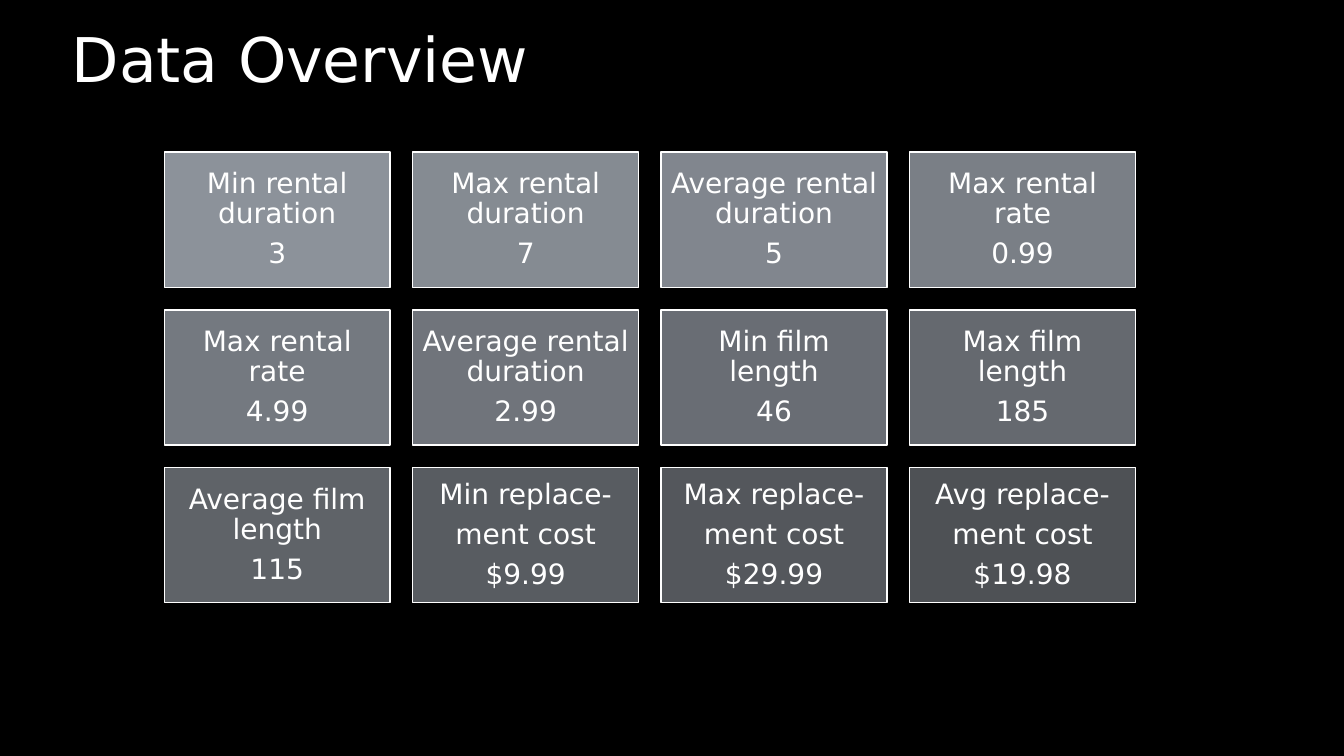
from lxml.etree import SubElement as Sub
from pptx import Presentation
from pptx.dml.color import RGBColor as Rgb
from pptx.enum.shapes import MSO_SHAPE as Kind
from pptx.enum.text import MSO_ANCHOR as Anchor, PP_ALIGN as Align
from pptx.oxml.ns import qn
from pptx.util import Inches, Pt

COLS = 4
STATS = [
    "Min rental duration\n3",
    "Max rental duration\n7",
    "Average rental duration\n5",
    "Max rental rate\n0.99",
    "Max rental rate\n4.99",
    "Average rental duration\n2.99",
    "Min film length\n46",
    "Max film length\n185",
    "Average film length\n115",
    "Min replace-\nment cost\n$9.99",
    "Max replace-\nment cost\n$29.99",
    "Avg replace-\nment cost\n$19.98",
]


def tint(code):
    return Rgb.from_string(code)


class Deck:
    font = "DejaVu Sans"
    ink = "FFFFFF"
    tile = "9CA2AB"
    left, top = 1.63, 1.51
    wide, high = 2.24, 1.34
    gap = 0.1

    def __init__(self):
        self.show = Presentation()
        self.show.slide_width = Inches(13.33)
        self.show.slide_height = Inches(7.5)
        self.slide = self.show.slides.add_slide(self.show.slide_layouts[5])
        back = self.slide.background.fill
        back.solid()
        back.fore_color.rgb = tint("000000")

    def label(self, frame, text, size, align):
        frame.text = text
        frame.word_wrap = True
        for para in frame.paragraphs:
            para.alignment = align
            para.line_spacing = 0.9
            para.space_before = Pt(0)
            for run in para.runs:
                run.font.name = self.font
                run.font.size = Pt(size)
                run.font.color.rgb = tint(self.ink)

    def title(self, text):
        head = self.slide.shapes.title
        head.left, head.top = Inches(0.61), Inches(0.23)
        head.width, head.height = Inches(10), Inches(0.77)
        self.label(head.text_frame, text, 44, Align.LEFT)
        head.text_frame.vertical_anchor = Anchor.BOTTOM

    def card(self, col, row, text, alpha):
        step = 1 + self.gap
        box = self.slide.shapes.add_shape(
            Kind.RECTANGLE,
            Inches(self.left + col * self.wide * step),
            Inches(self.top + row * (self.high + self.wide * self.gap)),
            Inches(self.wide), Inches(self.high))
        box.shadow.inherit = False
        box.fill.solid()
        box.fill.fore_color.rgb = tint(self.tile)
        shade = box.element.spPr.find(qn("a:solidFill"))[0]
        Sub(shade, qn("a:alpha"), val=str(round(alpha * 1000)))
        box.line.color.rgb = tint(self.ink)
        box.line.width = Pt(1)
        frame = box.text_frame
        frame.margin_left = frame.margin_right = Inches(0.08)
        frame.margin_top = frame.margin_bottom = Inches(0.08)
        frame.vertical_anchor = Anchor.MIDDLE
        self.label(frame, text, 20, Align.CENTER)
        for para in frame.paragraphs:
            para.space_after = Pt(7)


def main():
    deck = Deck()
    deck.title("Data Overview")
    fade = 40 / (len(STATS) - 1)
    for spot, text in enumerate(STATS):
        row, col = divmod(spot, COLS)
        deck.card(col, row, text, 90 - spot * fade)
    deck.show.save("out.pptx")


if __name__ == "__main__":
    main()
